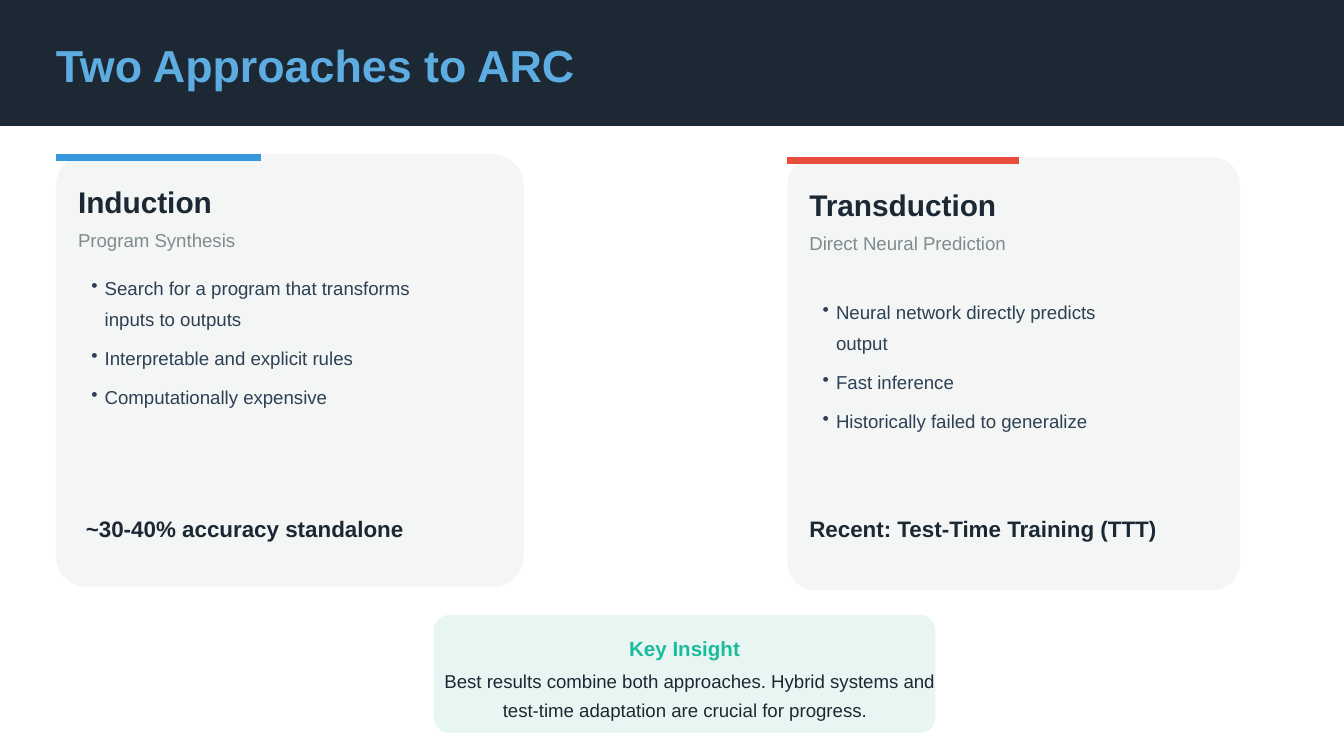
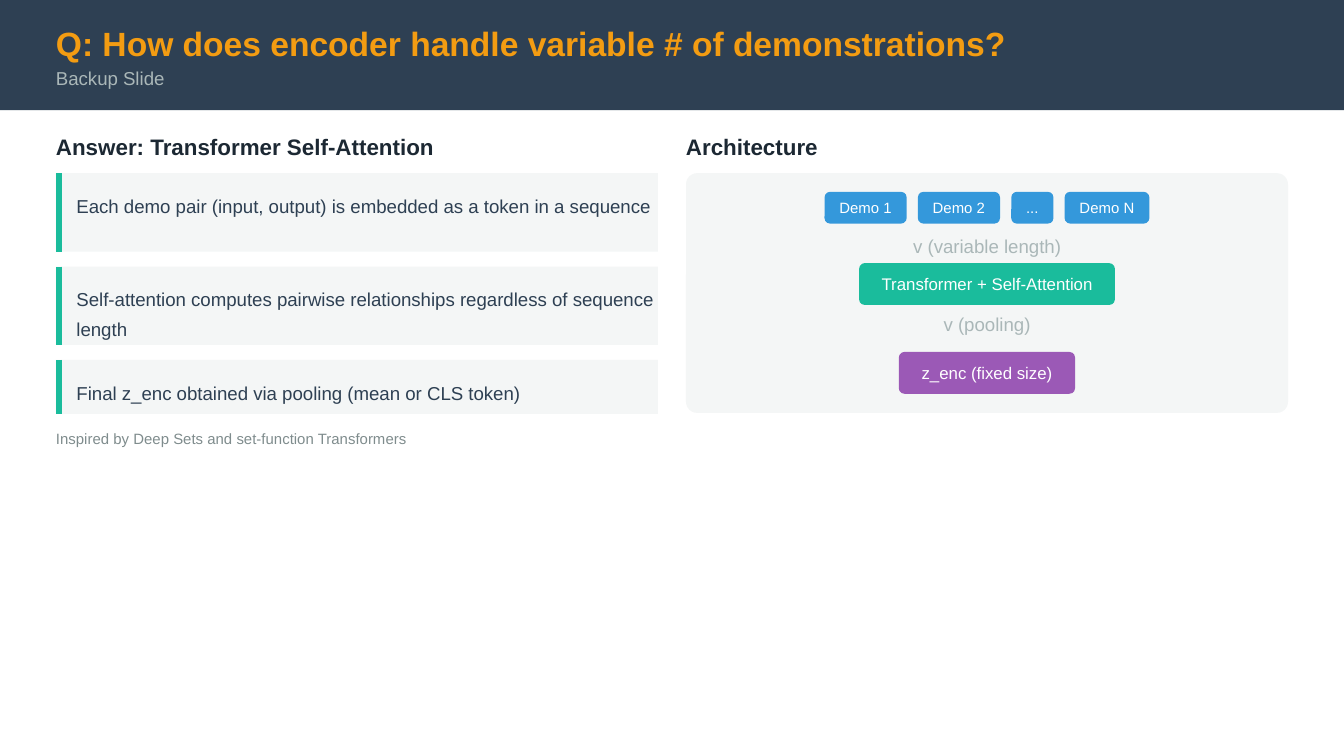
"""Build two slides: two approaches to ARC, and a backup answer on the encoder."""
from lxml.etree import SubElement
from pptx import Presentation
from pptx.dml.color import RGBColor
from pptx.enum.shapes import MSO_CONNECTOR, MSO_SHAPE
from pptx.enum.text import MSO_ANCHOR, PP_ALIGN
from pptx.oxml.ns import qn
from pptx.util import Pt

FONT = "Arial"
COLORS = {
    "ink": "1C2833", "slate": "2E4053", "panel": "F4F6F6", "mint": "E8F6F3",
    "sky": "5DADE2", "blue": "3498DB", "red": "E74C3C", "green": "1ABC9C",
    "purple": "9B59B6", "orange": "F39C12", "gray": "7F8C8D",
    "silver": "AAB7B8", "white": "FFFFFF",
}
MARGIN = 30


def rgb(name):
    return RGBColor.from_string(COLORS[name])


def add_bullet(paragraph, color, hang):
    properties = paragraph._p.get_or_add_pPr()
    properties.set("marL", str(Pt(hang)))
    properties.set("indent", str(-Pt(hang)))
    bullet_color = SubElement(properties, qn("a:buClr"))
    SubElement(bullet_color, qn("a:srgbClr"), val=COLORS[color])
    SubElement(properties, qn("a:buChar"), char="•")


def write(frame, text, size=10, color="ink", bold=False, align=PP_ALIGN.LEFT,
          spacing=None, gap=0, bullets=False, inset=0, first_indent=0,
          anchor=MSO_ANCHOR.TOP):
    frame.word_wrap = True
    frame.vertical_anchor = anchor
    frame.margin_left = Pt(inset)
    frame.margin_top = frame.margin_right = frame.margin_bottom = 0
    for index, line in enumerate(text.split("\n")):
        paragraph = frame.paragraphs[0] if index == 0 else frame.add_paragraph()
        paragraph.alignment = align
        if spacing:
            paragraph.line_spacing = spacing
        if index and gap:
            paragraph.space_before = Pt(gap)
        if first_indent:
            paragraph._p.get_or_add_pPr().set("indent", str(Pt(first_indent)))
        if bullets:
            add_bullet(paragraph, color, hang=7.2)
        run = paragraph.add_run()
        run.text = line
        run.font.name = FONT
        run.font.size = Pt(size)
        run.font.bold = bold
        run.font.color.rgb = rgb(color)


class Deck:
    def __init__(self):
        self.presentation = Presentation()
        self.presentation.slide_width = Pt(720)
        self.presentation.slide_height = Pt(405)
        self.shapes = None

    def new_slide(self):
        blank = self.presentation.slide_layouts[6]
        self.shapes = self.presentation.slides.add_slide(blank).shapes

    def start_group(self):
        self.shapes = self.shapes.add_group_shape().shapes

    def text(self, text, left, top, width, height, **style):
        box = self.shapes.add_textbox(Pt(left), Pt(top), Pt(width), Pt(height))
        write(box.text_frame, text, **style)

    def block(self, left, top, width, height, fill, radius=0, label=None, size=9):
        kind = MSO_SHAPE.ROUNDED_RECTANGLE if radius else MSO_SHAPE.RECTANGLE
        block = self.shapes.add_shape(kind, Pt(left), Pt(top), Pt(width), Pt(height))
        block.shadow.inherit = False
        block.fill.solid()
        block.fill.fore_color.rgb = rgb(fill)
        block.line.fill.background()
        if radius:
            block.adjustments[0] = radius / min(width, height)
        if label:
            write(block.text_frame, label, size=size, color="white",
                  align=PP_ALIGN.CENTER, anchor=MSO_ANCHOR.MIDDLE)

    def rule(self, x1, y1, x2, y2, color, weight):
        rule = self.shapes.add_connector(
            MSO_CONNECTOR.STRAIGHT, Pt(x1), Pt(y1), Pt(x2), Pt(y2))
        rule.line.color.rgb = rgb(color)
        rule.line.width = Pt(weight)
        SubElement(rule._element.spPr, qn("a:effectLst"))

    def header(self, title, height, fill, top, size, color):
        self.block(0, 0, 720, height, fill)
        self.text(title, MARGIN, top, 673, size * 1.17, size=size, color=color, bold=True)

    def approach(self, left, top, width, radius, accent, accent_width, name, name_width,
                 method, method_width, points, points_top, points_width,
                 result, result_left):
        inner = left + 11.8
        self.block(left, top, width, 232, "panel", radius)
        self.rule(left, top + 1.9, left + accent_width, top + 1.9, accent, 3.75)
        self.text(name, inner, top + 16, name_width, 19, size=16, bold=True)
        self.text(method, inner, top + 39.8, method_width, 12, color="gray")
        self.text(points, inner, points_top, points_width, 92, color="slate",
                  spacing=1.4, gap=4, bullets=True, inset=7.2)
        self.text(result, result_left, 276, 219, 40, size=12, bold=True)

    def statement(self, text, top, height):
        self.block(MARGIN, top, 322.5, height, "panel")
        self.rule(MARGIN + 1.5, top, MARGIN + 1.5, top + height, "green", 3)
        self.text(text, 41, top + 8, 310, height - 16, color="slate", spacing=1.3)


def build_approaches(deck):
    deck.new_slide()
    deck.header("Two Approaches to ARC", 67.5, "ink", 20, 24, "sky")
    deck.approach(
        MARGIN, 82.6, 250.5, 17, "blue", 110, "Induction", 87, "Program Synthesis", 87,
        "Search for a program that transforms inputs to outputs\n"
        "Interpretable and explicit rules\nComputationally expensive",
        143.3, 193.7, "~30-40% accuracy standalone", 46)
    deck.approach(
        421.8, 84.3, 242.6, 15, "red", 124, "Transduction", 102.5,
        "Direct Neural Prediction", 179,
        "Neural network directly predicts output\nFast inference\n"
        "Historically failed to generalize",
        156.2, 179.3, "Recent: Test-Time Training (TTT)", 433.6)

    left, width = 232.5, 268.6
    deck.start_group()
    deck.block(left, 329.5, width, 63, "mint", 8)
    deck.text("Key Insight", left, 340.5, width, 12, size=11, color="green",
              bold=True, align=PP_ALIGN.CENTER)
    deck.text("Best results combine both approaches. Hybrid systems and "
              "test-time adaptation are crucial for progress.",
              left, 355, width, 28, spacing=1.3, first_indent=5,
              align=PP_ALIGN.CENTER)


def build_encoder_answer(deck):
    deck.new_slide()
    deck.header("Q: How does encoder handle variable # of demonstrations?",
                59, "slate", 12.4, 18, "orange")
    deck.text("Backup Slide", MARGIN, 36, 673, 12, color="silver")

    panel_left, panel_width, body_top = 367.5, 322.5, 92.8
    for heading, left in (("Answer: Transformer Self-Attention", MARGIN),
                          ("Architecture", panel_left)):
        deck.text(heading, left, 71.5, 329, 14, size=12, bold=True)

    top = body_top
    for text, height in (
            ("Each demo pair (input, output) is embedded as a token in a sequence", 42),
            ("Self-attention computes pairwise relationships regardless of "
             "sequence length", 42),
            ("Final z_enc obtained via pooling (mean or CLS token)", 29)):
        deck.statement(text, top, height)
        top += height + 8
    deck.text("Inspired by Deep Sets and set-function Transformers",
              MARGIN, 230, 329, 9, size=8, color="gray")

    deck.block(panel_left, body_top, panel_width, 128.4, "panel", 6)
    center = panel_left + panel_width / 2
    demos = (("Demo 1", 44), ("Demo 2", 44), ("...", 22.6), ("Demo N", 45.4))
    gap = 6
    left = center - (sum(width for _, width in demos) + gap * (len(demos) - 1)) / 2
    for label, width in demos:
        deck.block(left, 102.8, width, 17, "blue", 3, label, size=8)
        left += width + gap
    for note, top in (("v (variable length)", 126), ("v (pooling)", 167.8)):
        deck.text(note, panel_left + 7, top, panel_width - 14, 12,
                  color="silver", align=PP_ALIGN.CENTER)
    for stage, top, width, fill in (
            ("Transformer + Self-Attention", 141, 137, "green"),
            ("z_enc (fixed size)", 188.6, 94.4, "purple")):
        deck.block(center - width / 2, top, width, 22.4, fill, 3, stage)


def main():
    deck = Deck()
    build_approaches(deck)
    build_encoder_answer(deck)
    deck.presentation.save("out.pptx")


if __name__ == "__main__":
    main()
